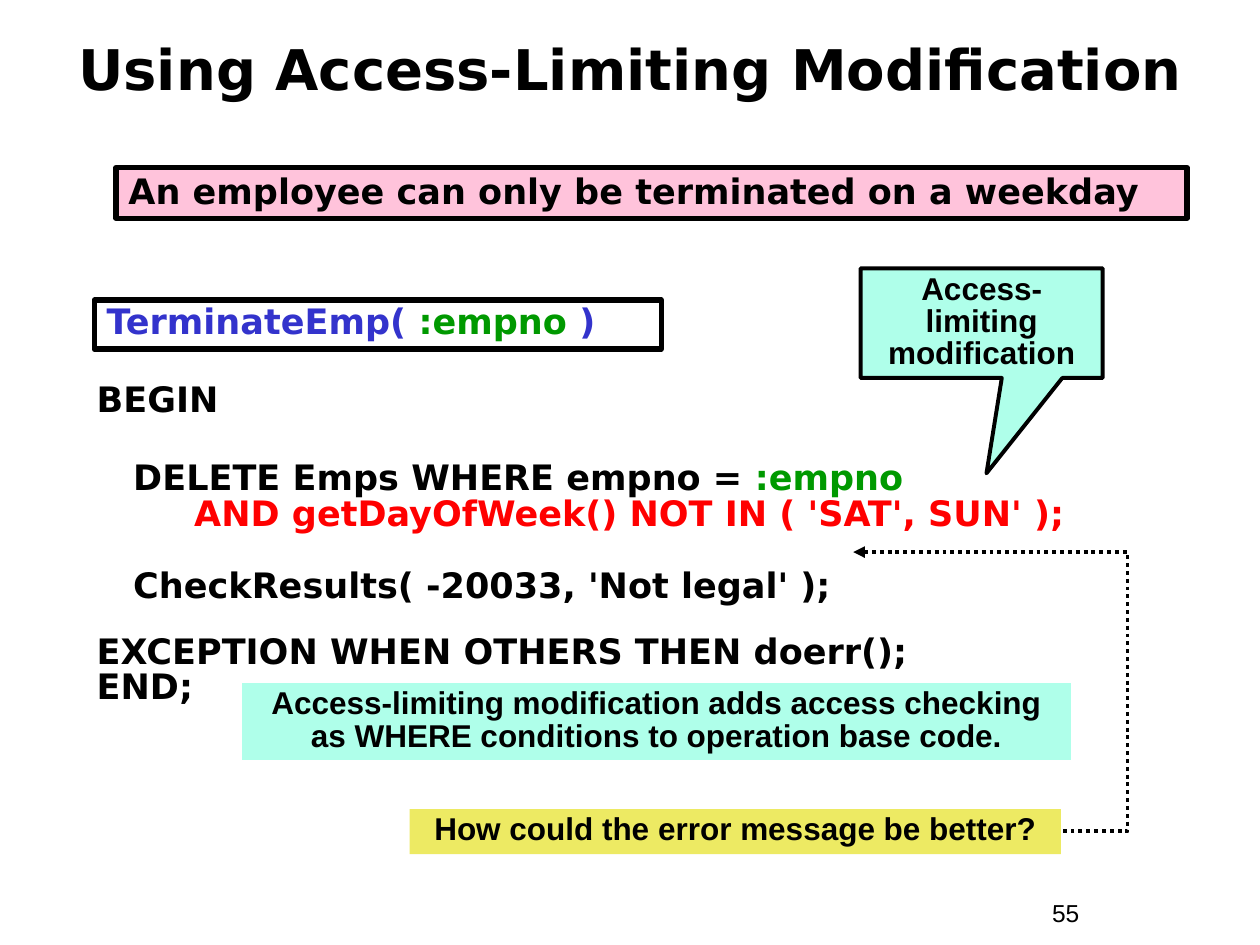
import pptx
import pptx.dml.color
import pptx.enum.dml
import pptx.enum.shapes
import pptx.enum.text
import pptx.oxml.ns
import pptx.util
from lxml import etree

Cm = pptx.util.Cm
Pt = pptx.util.Pt
Align = pptx.enum.text.PP_ALIGN
Anchor = pptx.enum.text.MSO_ANCHOR
Preset = pptx.enum.shapes.MSO_SHAPE
qn = pptx.oxml.ns.qn

BLACK, BLUE, GREEN, RED = "000000", "3333CC", "009900", "FF0000"
MINT, PINK, YELLOW = "AFFFEA", "FFC3DB", "EDEA63"
CODE_FONT, NOTE_FONT = "DejaVu Sans", "Arial"


def color(value):
    return pptx.dml.color.RGBColor.from_string(value)


class SlideBuilder:
    def __init__(self, slide):
        self.slide = slide

    def set_lines(self, frame, lines, font=CODE_FONT, size=20, bold=True,
                  align=Align.LEFT, anchor=Anchor.TOP, spacing=0.85):
        frame.word_wrap = True
        frame.vertical_anchor = anchor
        for index, (gap, runs) in enumerate(lines):
            paragraph = frame.paragraphs[0] if index == 0 else frame.add_paragraph()
            paragraph.alignment = align
            paragraph.line_spacing = spacing
            paragraph.space_before = Pt(gap)
            paragraph.font.name = font
            paragraph.font.size = Pt(size)
            paragraph.font.bold = bold
            for text, ink in runs:
                run = paragraph.add_run()
                run.text = text
                run.font.color.rgb = color(ink)

    def text(self, place, lines, **style):
        box = self.slide.shapes.add_textbox(*map(Cm, place))
        self.set_lines(box.text_frame, lines, **style)

    def panel(self, place, runs, fill=None, border=0, preset=Preset.RECTANGLE,
              adjustments=(), **style):
        panel = self.slide.shapes.add_shape(preset, *map(Cm, place))
        panel.shadow.inherit = False
        for index, value in enumerate(adjustments):
            panel.adjustments[index] = value
        if fill:
            panel.fill.solid()
            panel.fill.fore_color.rgb = color(fill)
        else:
            panel.fill.background()
        if border:
            panel.line.color.rgb = color(BLACK)
            panel.line.width = Pt(border)
        else:
            panel.line.fill.background()
        self.set_lines(panel.text_frame, [(0, runs)], **style)

    def note(self, place, text, fill, **style):
        self.panel(place, [(text, BLACK)], fill, font=NOTE_FONT, size=18,
                   align=Align.CENTER, **style)

    def dotted_arrow(self, tip, tail, bend):
        arrow = self.slide.shapes.add_connector(
            pptx.enum.shapes.MSO_CONNECTOR.ELBOW, *map(Cm, tip + tail))
        arrow.line.color.rgb = color(BLACK)
        arrow.line.width = Pt(2.25)
        arrow.line.dash_style = pptx.enum.dml.MSO_LINE.ROUND_DOT
        properties = arrow._element.spPr
        etree.SubElement(properties.find(qn("a:ln")), qn("a:headEnd"), type="triangle")
        etree.SubElement(properties, qn("a:effectLst"))
        guides = properties.find(qn("a:prstGeom")).find(qn("a:avLst"))
        etree.SubElement(guides, qn("a:gd"), name="adj1",
                         fmla=f"val {round(bend * 100000)}")


def main():
    deck = pptx.Presentation()
    deck.slide_width, deck.slide_height = Cm(25.4), Cm(19.05)
    builder = SlideBuilder(deck.slides.add_slide(deck.slide_layouts[6]))

    builder.text((20.96, 17.98, 2.34, 0.86), [(0, [("55", BLACK)])],
                 font=NOTE_FONT, size=14, bold=False, spacing=1.0)
    builder.text((0.43, 0.2, 24.56, 2.34),
                 [(0, [("Using Access-Limiting Modification", BLACK)])],
                 size=32, align=Align.CENTER, anchor=Anchor.MIDDLE, spacing=1.0)
    procedure = [
        (0, [("BEGIN", BLACK)]),
        (24, [("   DELETE Emps WHERE empno = ", BLACK), (":empno", GREEN)]),
        (0, [("        AND getDayOfWeek() NOT IN ( 'SAT', SUN' );", RED)]),
        (21, [("   CheckResults( -20033, 'Not legal' );", BLACK)]),
        (17, [("EXCEPTION WHEN OTHERS THEN doerr();", BLACK)]),
        (0, [("END;", BLACK)]),
    ]
    builder.text((1.7, 7.62, 21.59, 6.73), procedure)
    builder.panel((1.9, 6.05, 11.43, 0.99),
                  [("TerminateEmp( ", BLUE), (":empno ", GREEN), (")", BLUE)], border=3)
    builder.note((4.88, 13.77, 16.71, 1.55),
                 "Access-limiting modification adds access checking "
                 "as WHERE conditions to operation base code.", MINT)
    builder.panel((2.34, 3.38, 21.59, 1.02),
                  [("An employee can only be terminated on a weekday", BLACK)],
                  PINK, border=3, spacing=0.9)
    builder.note((8.26, 16.31, 13.13, 0.91),
                 "How could the error message be better?", YELLOW)
    builder.dotted_arrow((17.2, 11.13), (21.39, 16.76), bend=1.32)
    builder.note((17.35, 5.41, 4.88, 2.21), "Access-limiting modification", MINT,
                 border=2.25, preset=Preset.RECTANGULAR_CALLOUT,
                 adjustments=(0.02, 1.37), anchor=Anchor.MIDDLE)

    deck.save("out.pptx")


if __name__ == "__main__":
    main()
